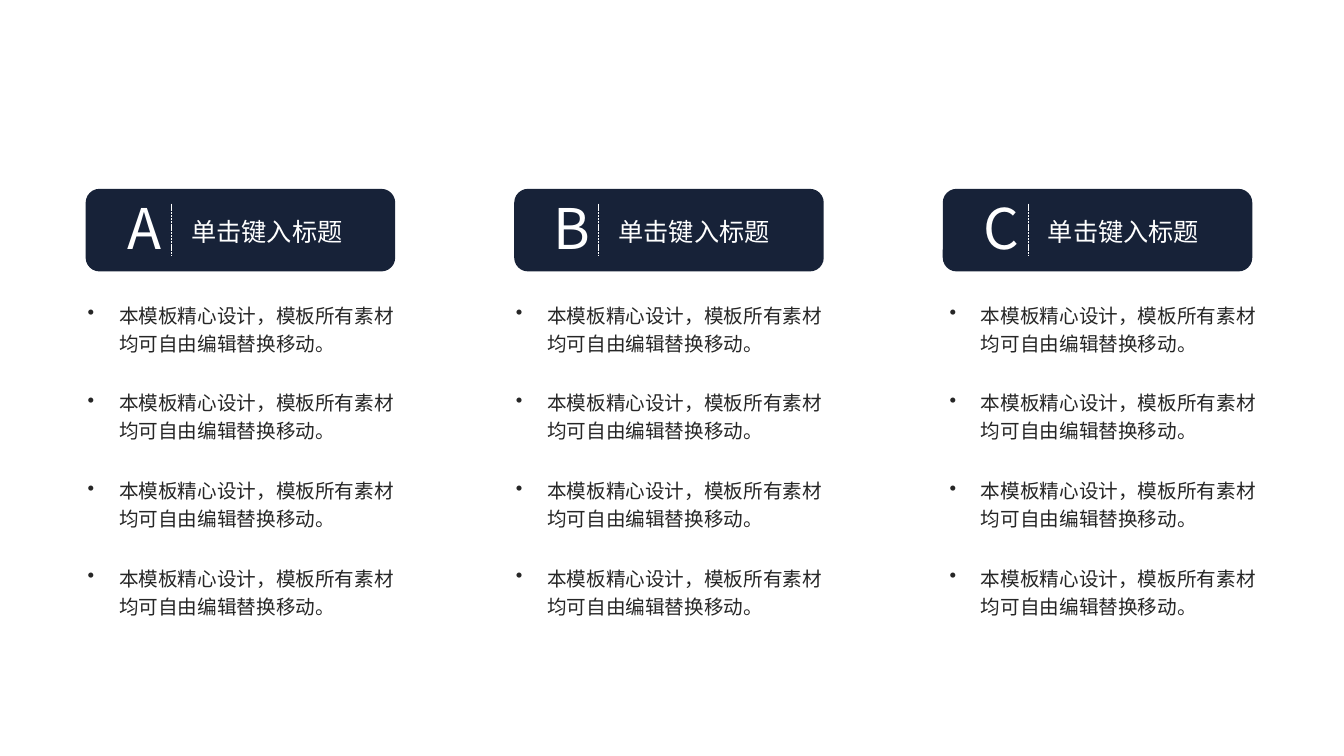
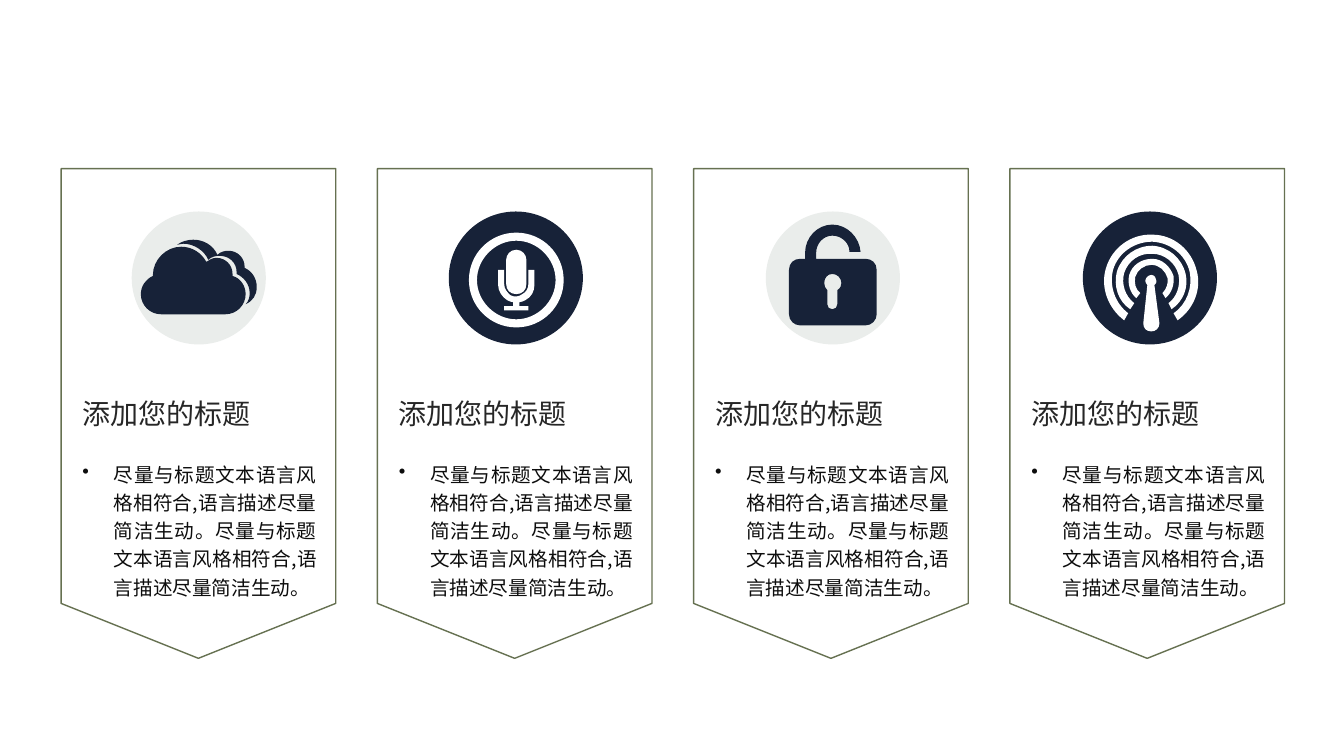
from lxml.etree import SubElement
from pptx import Presentation
from pptx.dml.color import RGBColor
from pptx.enum.dml import MSO_LINE
from pptx.enum.shapes import MSO_CONNECTOR, MSO_SHAPE
from pptx.enum.text import MSO_ANCHOR as Anchor, PP_ALIGN as Align
from pptx.oxml.ns import qn
from pptx.util import Cm, Pt

COLORS = {
    "navy": "172238",
    "white": "FFFFFF",
    "mist": "EAEDEB",
    "olive": "667151",
    "heading": "262626",
    "body": "0D0D0D",
}
PALETTE = {name: RGBColor.from_string(value) for name, value in COLORS.items()}
FONT = "Noto Sans CJK SC"
BULLET_INDENT = Cm(0.79)
ICON_UNIT = Cm(2.54) / 100

# Each line is one closed outline: a pair is a straight segment's end,
# six numbers are a cubic curve's two handles and its end.
CLOUD = """
49,35 60,35,69,41,74,50 77,48,80,46,84,46 93,46,100,53,100,62 100,64 108,66,113,74,113,82 113,93,104,102,93,102 29,102 18,102,9,93,9,82 9,74,14,67,21,64 21,64,21,63,21,63 21,48,34,35,49,35
61,28 72,28,81,34,85,43 88,40,92,39,96,39 105,39,112,46,112,55 112,56 119,59,124,66,124,75 124,83,120,89,113,92 116,89,117,85,117,81 117,72,111,65,104,62 104,60 104,51,97,44,87,44 83,44,79,45,76,48 72,39,62,32,51,32 45,33 49,30,55,28,61,28
"""
MICROPHONE = """
49,58 55,58 55,72 55,77,58,80,61,83 65,85,69,85,73,82 77,80,79,76,79,72 79,58 85,58 85,73 85,79,82,85,76,88 74,89,72,90,70,90 70,94 79,94 79,98 55,98 55,94 64,94 64,90 62,90,60,89,58,88 53,85,49,79,49,73
67,38 73,38,77,43,77,48 77,72 77,78,73,82,67,82 61,82,57,78,57,72 57,48 57,43,61,38,67,38
67,29 46,29,28,47,28,68 28,89,46,107,67,107 88,107,106,89,106,68 106,47,88,29,67,29
67,21 93,21,114,42,114,68 114,94,93,115,67,115 41,115,20,94,20,68 20,42,41,21,67,21
"""
PADLOCK = """
66,62 61,62,58,66,58,71 58,74,59,76,61,78 61,92 61,95,63,97,66,97 69,97,71,95,71,92 71,78 74,76,75,74,75,71 75,66,71,62,66,62
66,13 81,13,93,26,94,40 83,40 83,31,75,24,66,24 57,24,50,32,50,41 50,47 99,47 105,47,110,51,110,58 110,102 110,108,105,113,99,113 34,113 28,113,23,108,23,102 23,58 23,51,28,47,34,47 39,47 39,41 39,26,51,13,66,13
"""
ANTENNA = """
68,63 71,63,73,66,73,69 73,70,73,72,71,73 76,111 76,116,72,119,68,119 63,119,60,116,60,111 64,73 63,72,62,70,62,69 62,66,65,63,68,63
69,47 79,47,87,55,90,64 91,73,88,81,82,86 79,81 83,77,85,71,84,66 82,59,76,53,68,53 61,53,54,58,52,65 51,71,52,77,57,81 53,86 47,81,44,72,46,63 49,53,58,47,69,47
69,34 85,35,98,46,102,62 105,75,100,89,88,97 85,91 93,85,97,74,95,63 92,51,81,42,69,42 56,41,45,49,41,61 38,72,42,84,51,91 47,97 35,89,30,74,34,59 39,44,53,34,69,34
69,23 90,23,108,38,113,59 118,77,110,97,94,108 90,101 103,92,109,76,106,60 102,43,87,31,69,30 51,30,35,41,30,58 26,74,32,91,45,101 41,108 25,96,17,75,23,56 29,36,48,22,69,23
"""


def set_text(shape, lines, size, color, align=Align.LEFT, anchor=Anchor.MIDDLE,
             bulleted=False, space_after=0):
    """Fill a shape with one paragraph per line, without insets."""
    frame = shape.text_frame
    frame.word_wrap = True
    frame.vertical_anchor = anchor
    frame.margin_left = frame.margin_right = frame.margin_top = frame.margin_bottom = 0
    frame.text = "\n".join(lines)
    for paragraph in frame.paragraphs:
        paragraph.alignment = align
        paragraph.space_after = Pt(space_after)
        if bulleted:
            paragraph.line_spacing = 1.2
            properties = paragraph._p.get_or_add_pPr()
            properties.set("marL", str(BULLET_INDENT))
            properties.set("indent", str(-BULLET_INDENT))
            SubElement(properties, qn("a:buChar")).set("char", "•")
        for run in paragraph.runs:
            run.font.size = Pt(size)
            run.font.color.rgb = PALETTE[color]
            run.font.name = FONT
            SubElement(run._r.get_or_add_rPr(), qn("a:ea")).set("typeface", FONT)


def add_icon(slide, outlines, left, top, color):
    """Draw all outlines as one freeform, then bend its curved segments."""
    builder = None
    segments, ends = [], []
    for outline in outlines.strip().splitlines():
        numbers = [[round(float(number) * ICON_UNIT) for number in segment.split(",")]
                   for segment in outline.split()]
        points = [segment[-2:] for segment in numbers]
        if builder is None:
            builder = slide.shapes.build_freeform(*points[0])
        else:
            builder.move_to(*points[0])
        builder.add_line_segments(points[1:], close=False)
        segments += numbers[1:]
        ends += points
    icon = builder.convert_to_shape(left, top)
    icon.shadow.inherit = False
    icon.fill.solid()
    icon.fill.fore_color.rgb = PALETTE[color]
    icon.line.fill.background()

    min_x, min_y = map(min, zip(*ends))
    straight_lines = list(icon._element.iter(qn("a:lnTo")))
    for line, segment in zip(straight_lines, segments):
        if len(segment) == 6:
            line.tag = qn("a:cubicBezTo")
            line.clear()
            for x, y in zip(segment[::2], segment[1::2]):
                point = SubElement(line, qn("a:pt"))
                point.set("x", str(x - min_x))
                point.set("y", str(y - min_y))


presentation = Presentation()
presentation.slide_width, presentation.slide_height = Cm(33.87), Cm(19.05)
blank_layout = presentation.slide_layouts[6]

# Three lettered columns
slide = presentation.slides.add_slide(blank_layout)
card_top, card_width, card_height = 4.76, 7.8, 2.08
columns = [("A", 4.32, 2.21), ("B", 15.09, 13), ("C", 25.91, 23.93)]
for column, (letter, divider_x, list_left) in enumerate(columns):
    card = slide.shapes.add_shape(MSO_SHAPE.ROUNDED_RECTANGLE, Cm(2.16 + 10.8 * column),
                                  Cm(card_top), Cm(card_width), Cm(card_height))
    card.shadow.inherit = False
    card.fill.solid()
    card.fill.fore_color.rgb = PALETTE["navy"]
    card.line.fill.background()

    divider = slide.shapes.add_connector(MSO_CONNECTOR.STRAIGHT, Cm(divider_x), Cm(5.13),
                                         Cm(divider_x), Cm(6.45))
    divider.line.color.rgb = PALETTE["white"]
    divider.line.width = Pt(0.5)
    divider.line.dash_style = MSO_LINE.SQUARE_DOT
    SubElement(divider._element.spPr, qn("a:effectLst"))

    badge = slide.shapes.add_shape(MSO_SHAPE.OVAL, Cm(divider_x - 1.57), Cm(4.37),
                                   Cm(1.47), Cm(2.82))
    badge.shadow.inherit = False
    badge.fill.background()
    badge.line.fill.background()
    set_text(badge, [letter], 40, "white", Align.CENTER)
    badge.text_frame.word_wrap = False
    badge.text_frame.margin_left = Cm(0.3)
    badge.text_frame.margin_bottom = Cm(0.1)

    title = slide.shapes.add_textbox(Cm(divider_x + 0.5), Cm(card_top + 0.02),
                                     Cm(4.9), Cm(card_height))
    set_text(title, ["单击键入标题"], 18, "white")
    bullets = slide.shapes.add_textbox(Cm(list_left), Cm(7.53), Cm(card_width), Cm(8.4))
    set_text(bullets, ["本模板精心设计，模板所有素材均可自由编辑替换移动。"] * 4, 14, "heading",
             anchor=Anchor.TOP, bulleted=True, space_after=22.3)

# Four banners with icons
slide = presentation.slides.add_slide(blank_layout)
banner_top, banner_width, banner_height = 4.25, 6.92, 12.34
disc_top, disc_width, disc_height = Cm(5.33), Cm(3.38), Cm(3.35)
icons = [
    (CLOUD, "mist", "navy"),
    (MICROPHONE, "navy", "white"),
    (PADLOCK, "mist", "navy"),
    (ANTENNA, "navy", "white"),
]
for column, (outlines, disc_color, icon_color) in enumerate(icons):
    banner_left = 1.54 + 7.97 * column
    # The pentagon points right until it is turned about its centre.
    turn_shift = (banner_height - banner_width) / 2
    banner = slide.shapes.add_shape(MSO_SHAPE.PENTAGON, Cm(banner_left - turn_shift),
                                    Cm(banner_top + turn_shift),
                                    Cm(banner_height), Cm(banner_width))
    banner.rotation = 90
    banner.adjustments[0] = 0.2
    banner.shadow.inherit = False
    banner.fill.background()
    banner.line.color.rgb = PALETTE["olive"]
    banner.line.width = Pt(1)

    disc_left = Cm(3.32 + 7.99 * column)
    disc = slide.shapes.add_shape(MSO_SHAPE.OVAL, disc_left, disc_top, disc_width, disc_height)
    disc.shadow.inherit = False
    disc.fill.solid()
    disc.fill.fore_color.rgb = PALETTE[disc_color]
    disc.line.fill.background()
    add_icon(slide, outlines, disc_left, disc_top, icon_color)

    text_left, text_width = Cm(banner_left + 0.54), Cm(5.9)
    title = slide.shapes.add_textbox(text_left, Cm(9.86), text_width, Cm(1.12))
    set_text(title, ["添加您的标题"], 20, "heading", Align.JUSTIFY)
    bullets = slide.shapes.add_textbox(text_left, Cm(11.54), text_width, Cm(3.8))
    set_text(bullets, ["尽量与标题文本语言风格相符合,语言描述尽量简洁生动。" * 2], 14, "body",
             Align.JUSTIFY, Anchor.TOP, bulleted=True)

presentation.save("out.pptx")
